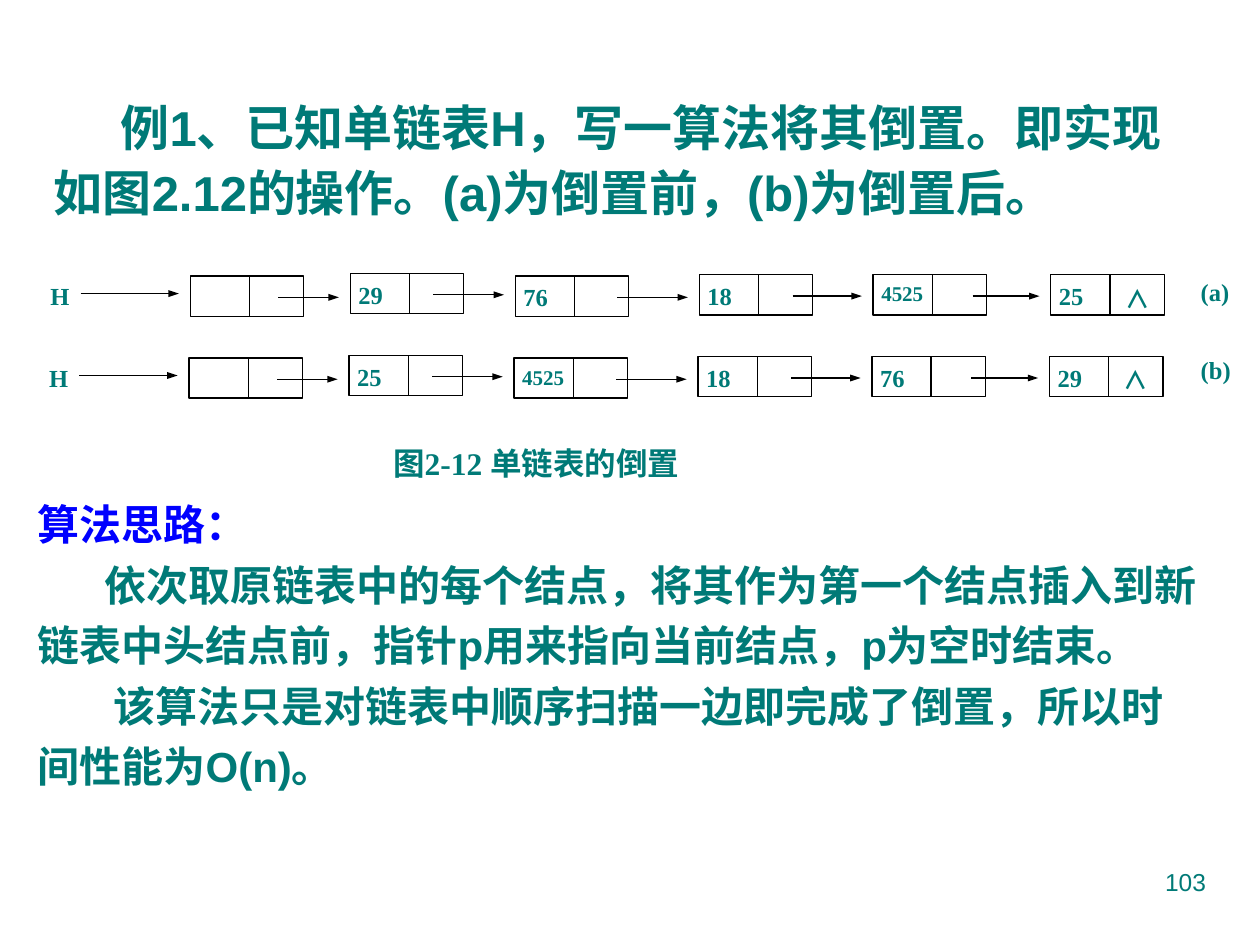
"""Slide on reversing a singly linked list, with before and after diagrams."""
from dataclasses import dataclass
from itertools import pairwise

from lxml import etree
from pptx import Presentation
from pptx.dml.color import RGBColor as RGB
from pptx.enum.shapes import MSO_CONNECTOR as CONN, MSO_SHAPE as SHAPE
from pptx.enum.text import MSO_AUTO_SIZE as AUTO, PP_ALIGN as ALIGN
from pptx.oxml.ns import qn
from pptx.util import Inches, Pt


@dataclass(frozen=True)
class Theme:
    """Colours, fonts and sizes of the slide."""
    text: RGB = RGB(0x00, 0x7A, 0x77)
    accent: RGB = RGB(0x00, 0x00, 0xFF)
    line: RGB = RGB(0x00, 0x00, 0x00)
    sans: str = "Arial"
    serif: str = "Times New Roman"
    cjk: str = "Noto Sans CJK SC"
    title: int = 28
    body: int = 24
    caption: int = 18
    label: int = 14
    small: int = 12
    stroke: float = 0.75


class Canvas:
    """Draws on one slide, with lengths in columns and rows of a 100 by 75 grid."""

    def __init__(self, prs, theme):
        """Add a blank slide and set the grid units."""
        self.t = theme
        self.s = prs.slides.add_slide(prs.slide_layouts[6])
        self.col, self.row = prs.slide_width / 100, prs.slide_height / 75

    def units(self, *lengths):
        """Turn alternating columns and rows into slide units."""
        return [round(n * (self.row if i % 2 else self.col)) for i, n in enumerate(lengths)]

    def text(self, at, paras, size, font, inset=(0, 0), bold=True, auto=AUTO.NONE, **fmt):
        """Add a text box of (text, colour, first-line indent) paragraphs."""
        tf = self.s.shapes.add_textbox(*self.units(*at)).text_frame
        dx, dy = self.units(*inset)
        frame = dict(word_wrap=True, auto_size=auto, margin_left=dx, margin_right=dx,
                     margin_top=dy, margin_bottom=dy)
        for key, value in frame.items():
            setattr(tf, key, value)
        for i, (text, color, indent) in enumerate(paras):
            p = tf.add_paragraph() if i else tf.paragraphs[0]
            for key, value in fmt.items():
                setattr(p, key, value)
            if indent:
                p._p.get_or_add_pPr().set("indent", str(self.units(indent)[0]))
            r = p.add_run()
            r.text = text
            for key, value in dict(size=Pt(size), name=font, bold=bold).items():
                setattr(r.font, key, value)
            r.font.color.rgb = color
            latin = r._r.get_or_add_rPr().find(qn("a:latin"))
            ea = etree.Element(qn("a:ea"), typeface=self.t.cjk)
            latin.addnext(ea)

    def label(self, at, text, size=None, font=None, **fmt):
        """Add a one-line diagram label."""
        self.text(at, [(text, self.t.text, 0)], size or self.t.label, font or self.t.serif, **fmt)

    def stroke(self, sp):
        """Give a shape or connector the diagram line."""
        sp.line.color.rgb = self.t.line
        sp.line.width = Pt(self.t.stroke)

    def line(self, x1, y1, x2, y2, arrow=False):
        """Add a straight line, with an arrowhead at its end if asked."""
        sp = self.s.shapes.add_connector(CONN.STRAIGHT, *self.units(x1, y1, x2, y2))
        self.stroke(sp)
        if arrow:
            etree.SubElement(sp.line._get_or_add_ln(), qn("a:tailEnd"),
                             type="triangle", w="sm", len="med")
        etree.SubElement(sp._element.spPr, qn("a:effectLst"))

    def node(self, x, y, value):
        """Add a list node with a data cell and a pointer cell."""
        sp = self.s.shapes.add_shape(SHAPE.RECTANGLE, *self.units(x, y, 9, 3.2))
        sp.shadow.inherit = False
        sp.fill.background()
        self.stroke(sp)
        self.line(x + 4.7, y, x + 4.7, y + 3.2)
        if value:
            size = self.t.small if len(value) > 2 else self.t.label
            self.label((x + 0.65, y + 0.5, 3.4, 2.4), value, size)

    def linked_list(self, x, y, values):
        """Add the head pointer, the nodes, their links and the end mark."""
        self.label((x, y + 0.5, 4.8, 2.4), "H")
        self.line(x + 2.4, y + 1.5, x + 10.2, y + 1.5, arrow=True)
        spots = [(x + dx, y + dy) for dx, dy in NODE_SPOTS]
        for spot, value in zip(spots, values):
            self.node(*spot, value)
        for ((left, top), (right, _)), start in zip(pairwise(spots), LINK_STARTS):
            self.line(left + start, top + 1.7, right - 0.9, top + 1.7, arrow=True)
        left, top = spots[-1]
        self.label((left + 5.9, top + 0.7, 2.6, 1.9), "∧", font=self.t.cjk)


NODE_SPOTS = [(11.1, 0.1), (23.8, -0.1), (36.9, 0.1), (51.5, 0), (65.3, 0), (79.4, 0)]
LINK_STARTS = [7, 6.6, 8.1, 7.4, 7.9]
LISTS = [
    (4, 21.8, 22, "(a)", ["", "29", "76", "18", "4525", "25"]),
    (3.9, 28.3, 28.2, "(b)", ["", "25", "4525", "18", "76", "29"]),
]


def main():
    """Build and save the slide."""
    prs = Presentation()
    prs.slide_width, prs.slide_height = Inches(10), Inches(7.5)
    t = Theme()
    c = Canvas(prs, t)
    pad = (1, 0.5)
    c.text((3.3, 6.8, 93.4, 11.8),
           [("例1、已知单链表H，写一算法将其倒置。即实现如图2.12的操作。(a)为倒置前，(b)为倒置后。",
             t.text, 5.3)],
           t.title, t.sans, pad, line_spacing=1.1)
    for x, y, mark_y, mark, values in LISTS:
        c.linked_list(x, y, values)
        c.label((95.3, mark_y, 4.7, 3.1), mark)
    c.label((9.3, 35.2, 66.5, 3.1), "图2-12 单链表的倒置", t.caption, alignment=ALIGN.CENTER)
    c.text((2, 38.3, 94.5, 25),
           [("算法思路：", t.accent, 0),
            ("依次取原链表中的每个结点，将其作为第一个结点插入到新链表中头结点前，"
             "指针p用来指向当前结点，p为空时结束。", t.text, 5.3),
            ("该算法只是对链表中顺序扫描一边即完成了倒置，所以时间性能为O(n)。", t.text, 6)],
           t.body, t.sans, pad, auto=AUTO.SHAPE_TO_FIT_TEXT, line_spacing=1.2)
    c.label((71.7, 68.3, 25, 5.2), "103", font=t.sans, inset=pad, bold=False,
            alignment=ALIGN.RIGHT)
    prs.save("out.pptx")


if __name__ == "__main__":
    main()
